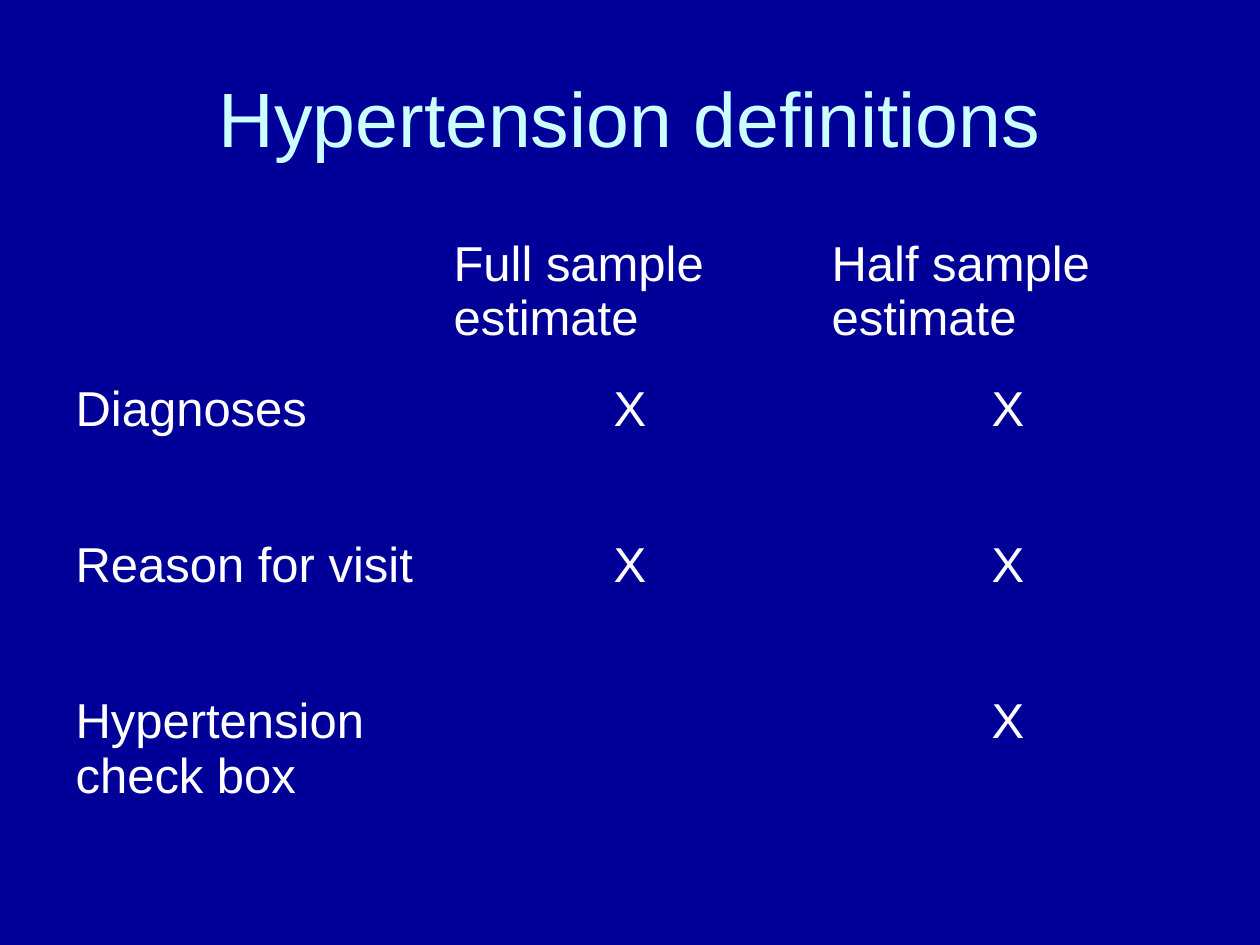
import pptx
import pptx.util
import pptx.dml.color
import pptx.enum.text
import pptx.oxml.ns
import lxml.etree

Inches = pptx.util.Inches
Pt = pptx.util.Pt
RGB = pptx.dml.color.RGBColor
Align = pptx.enum.text.PP_ALIGN
Anchor = pptx.enum.text.MSO_ANCHOR
qn = pptx.oxml.ns.qn

theme = {
    "font": "Arial",
    "back": RGB.from_string("000099"),
    "title": RGB.from_string("CCFFFF"),
    "text": RGB.from_string("FFFFFF"),
    "title_size": Pt(44),
    "text_size": Pt(28),
}


def style(para, size, color, align):
    para.alignment = align
    for run in para.runs:
        run.font.name = theme["font"]
        run.font.size = size
        run.font.bold = False
        run.font.color.rgb = color


deck = pptx.Presentation()
deck.slide_width = Inches(10)
deck.slide_height = Inches(7.5)
slide = deck.slides.add_slide(deck.slide_layouts[5])
slide.background.fill.solid()
slide.background.fill.fore_color.rgb = theme["back"]

title = slide.shapes.title
title.left, title.top = Inches(0.5), Inches(0.3)
title.width, title.height = Inches(9), Inches(1.25)
title.text_frame.text = "Hypertension definitions"
title.text_frame.vertical_anchor = Anchor.MIDDLE
style(title.text_frame.paragraphs[0], theme["title_size"], theme["title"], Align.CENTER)

rows = [
    ["", "Full sample estimate", "Half sample estimate"],
    ["Diagnoses", "X", "X"],
    ["Reason for visit", "X", "X"],
    ["Hypertension check box", "", "X"],
]
heights = [1.15] + [1.24] * 3

frame = slide.shapes.add_table(
    len(rows), 3, Inches(0.5), Inches(1.83), Inches(9), Inches(sum(heights))
)
table = frame.table
table.first_row = False
table.horz_banding = False
for col in table.columns:
    col.width = Inches(3)

for r, (row, height) in enumerate(zip(rows, heights)):
    table.rows[r].height = Inches(height)
    for c, text in enumerate(row):
        cell = table.cell(r, c)
        cell.margin_left = cell.margin_right = Inches(0.1)
        cell.margin_top = cell.margin_bottom = Inches(0.05)
        props = cell._tc.get_or_add_tcPr()
        for side in ("a:lnL", "a:lnR", "a:lnT", "a:lnB"):
            line = lxml.etree.SubElement(props, qn(side))
            lxml.etree.SubElement(line, qn("a:noFill"))
        cell.fill.background()
        cell.text_frame.text = text
        align = Align.CENTER if text == "X" else Align.LEFT
        style(cell.text_frame.paragraphs[0], theme["text_size"], theme["text"], align)

deck.save("out.pptx")
